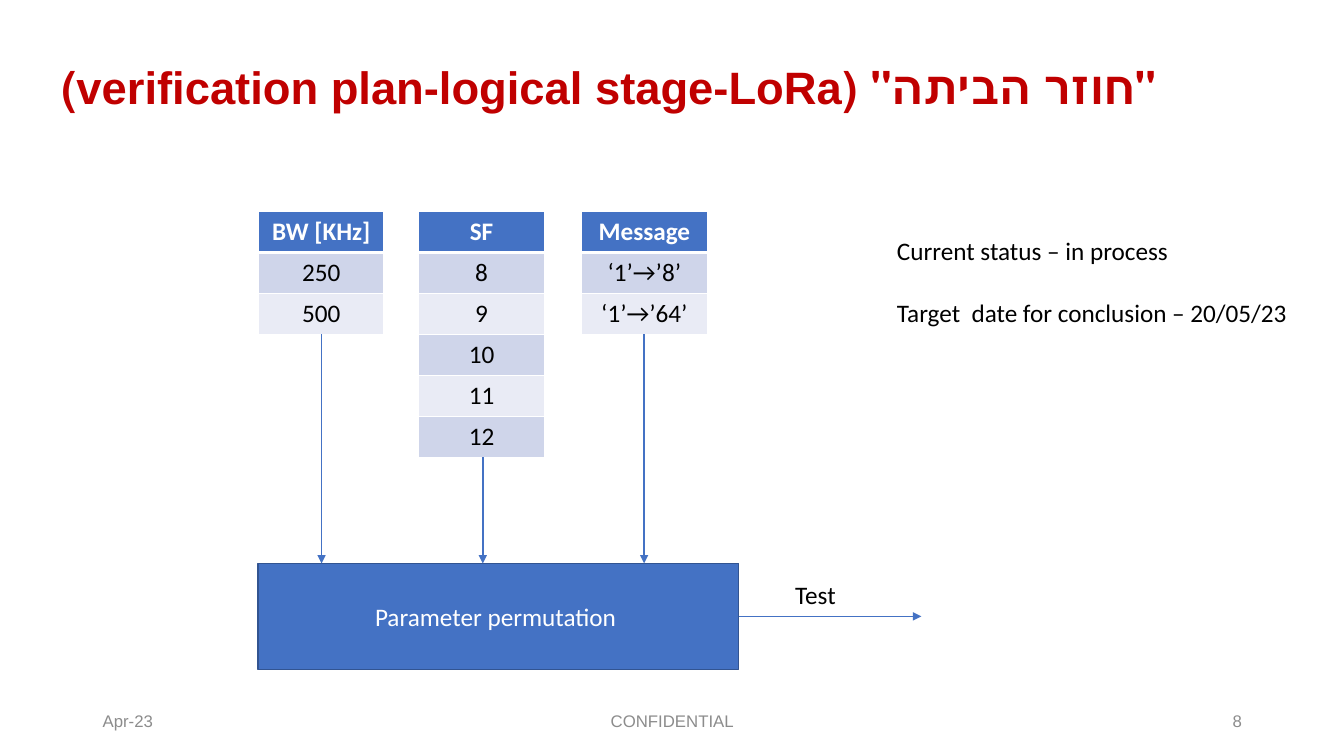
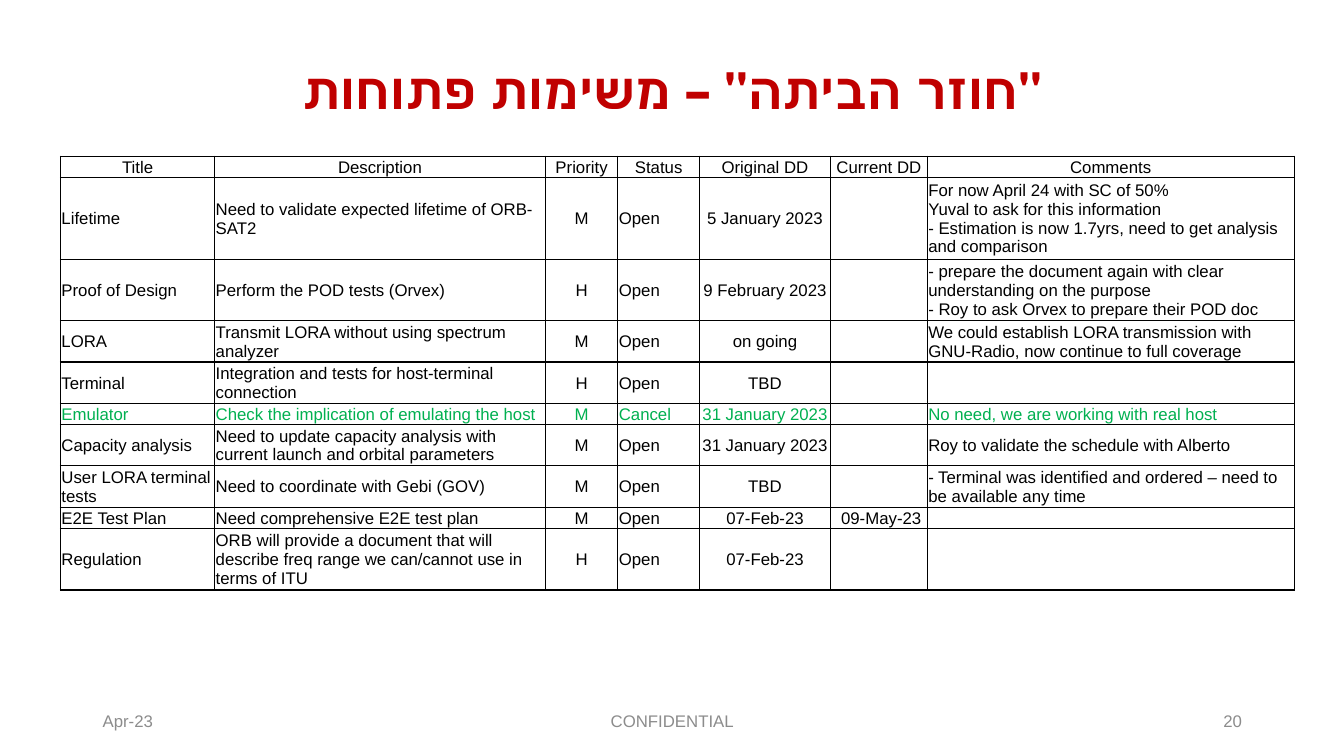
"""Build two verification status slides: a parameter flow and a table of open tasks."""
import dataclasses

import lxml.etree
import pptx
import pptx.dml.color
import pptx.enum.shapes
import pptx.enum.text
import pptx.oxml.ns
import pptx.util

ALIGN = pptx.enum.text.PP_ALIGN
MIDDLE = pptx.enum.text.MSO_ANCHOR.MIDDLE
TOP = pptx.enum.text.MSO_ANCHOR.TOP


@dataclasses.dataclass(frozen=True)
class Theme:
    """Hold the colours, fonts, type sizes and grid of the slides."""
    title_red: str = "C00000"
    accent: str = "4472C4"
    accent_edge: str = "325491"
    bands: tuple = ("CFD5EA", "E9EBF5")
    footer_grey: str = "8C8C8C"
    done_green: str = "00B050"
    black: str = "000000"
    white: str = "FFFFFF"
    heading_font: str = "Arial"
    body_font: str = "Calibri"
    title_size: float = 36
    body_size: float = 18
    small_size: float = 12
    columns: float = 133.33
    rows: float = 75
    cell: int = pptx.util.Inches(0.1)


THEME = Theme()


def rgb(colour):
    """Return a colour object for a hexadecimal string."""
    return pptx.dml.color.RGBColor.from_string(colour)


def write(frame, text, *, size=THEME.body_size, font=THEME.body_font, colour=THEME.black,
          bold=False, align=ALIGN.LEFT, anchor=TOP, spacing=None, right_to_left=False):
    """Fill a text frame, one paragraph per line, in the given format."""
    frame.word_wrap = True
    frame.vertical_anchor = anchor
    for index, line in enumerate(text.split("\n")):
        paragraph = frame.add_paragraph() if index else frame.paragraphs[0]
        paragraph.alignment = align
        if spacing:
            paragraph.line_spacing = spacing
        if right_to_left:
            paragraph._p.get_or_add_pPr().set("rtl", "1")
        if not line:
            ending = lxml.etree.SubElement(paragraph._p, pptx.oxml.ns.qn("a:endParaRPr"))
            ending.set("sz", str(round(size * 100)))
            continue
        run = paragraph.add_run()
        run.text = line
        run.font.size = pptx.util.Pt(size)
        run.font.name = font
        run.font.bold = bold
        run.font.color.rgb = rgb(colour)


def set_borders(cell, colour, **widths):
    """Draw the L, R, T and B borders of a table cell, one point wide unless given."""
    properties = cell._tc.get_or_add_tcPr()
    for index, side in enumerate("LRTB"):
        line = lxml.etree.Element(pptx.oxml.ns.qn(f"a:ln{side}"))
        line.set("w", str(pptx.util.Pt(widths.get(side, 1))))
        fill = lxml.etree.SubElement(line, pptx.oxml.ns.qn("a:solidFill"))
        lxml.etree.SubElement(fill, pptx.oxml.ns.qn("a:srgbClr")).set("val", colour)
        properties.insert(index, line)


class Deck:
    """Draw styled elements on the current slide, placed in grid columns and rows."""

    def __init__(self, theme):
        """Start an empty presentation of the size of the grid."""
        self.theme = theme
        self.presentation = pptx.Presentation()
        self.presentation.slide_width, self.presentation.slide_height = self.place(
            theme.columns, theme.rows)
        self.slide = None

    def place(self, *lengths):
        """Turn grid lengths into slide units."""
        return [round(length * self.theme.cell) for length in lengths]

    def add_slide(self, title, number, box, size):
        """Add a slide with its title and the shared footers."""
        theme = self.theme
        self.slide = self.presentation.slides.add_slide(self.presentation.slide_layouts[5])
        shape = self.slide.shapes.title
        shape.left, shape.top, shape.width, shape.height = self.place(*box)
        shape.text_frame.auto_size = pptx.enum.text.MSO_AUTO_SIZE.NONE
        write(shape.text_frame, title, size=size, font=theme.heading_font,
              colour=theme.title_red, bold=True, align=ALIGN.CENTER, anchor=MIDDLE,
              spacing=0.9, right_to_left=True)
        footers = (("Apr-23", 9.2, 30, ALIGN.LEFT),
                   (str(number), 94.2, 30, ALIGN.RIGHT),
                   ("CONFIDENTIAL", 44.2, 45, ALIGN.CENTER))
        for text, left, width, align in footers:
            self.add_text(text, left, 69.5, width, size=theme.small_size,
                          font=theme.heading_font, colour=theme.footer_grey,
                          align=align, anchor=MIDDLE)

    def add_text(self, text, left, top, width, **style):
        """Add a one-line text box."""
        shape = self.slide.shapes.add_textbox(*self.place(left, top, width, 4))
        write(shape.text_frame, text, **style)

    def add_box(self, text, left, top, width, height):
        """Add an accent rectangle with centred text."""
        shape = self.slide.shapes.add_shape(
            pptx.enum.shapes.MSO_SHAPE.RECTANGLE, *self.place(left, top, width, height))
        shape.shadow.inherit = False
        shape.fill.solid()
        shape.fill.fore_color.rgb = rgb(self.theme.accent)
        shape.line.color.rgb = rgb(self.theme.accent_edge)
        shape.line.width = pptx.util.Pt(1)
        write(shape.text_frame, text, colour=self.theme.white, align=ALIGN.CENTER,
              anchor=MIDDLE)

    def add_arrow(self, *ends):
        """Add a straight arrow from one grid point to another."""
        connector = self.slide.shapes.add_connector(
            pptx.enum.shapes.MSO_CONNECTOR.STRAIGHT, *self.place(*ends))
        connector.line.color.rgb = rgb(self.theme.accent)
        connector.line.width = pptx.util.Pt(1.25)
        head = lxml.etree.SubElement(connector.line._get_or_add_ln(),
                                     pptx.oxml.ns.qn("a:tailEnd"))
        head.set("type", "triangle")
        lxml.etree.SubElement(connector._element.spPr, pptx.oxml.ns.qn("a:effectLst"))

    def add_grid(self, left, top, widths, heights):
        """Add a table with the given column widths and row heights."""
        frame = self.slide.shapes.add_table(
            len(heights), len(widths), *self.place(left, top, sum(widths), sum(heights)))
        table = frame.table
        for column, width in zip(table.columns, self.place(*widths)):
            column.width = width
        for row, height in zip(table.rows, self.place(*heights)):
            row.height = height
        return table

    def fill_cell(self, cell, text, fill, border, widths=None, **style):
        """Fill, border and write one table cell."""
        cell.fill.solid()
        cell.fill.fore_color.rgb = rgb(fill)
        set_borders(cell, border, **(widths or {}))
        write(cell.text_frame, text, **style)
        cell.vertical_anchor = style.get("anchor", TOP)

    def add_value_list(self, heading, values, left, top, width, row_height):
        """Add a one-column banded table under a heading."""
        theme = self.theme
        table = self.add_grid(left, top, [width], [row_height] * (len(values) + 1))
        self.fill_cell(table.cell(0, 0), heading, theme.accent, theme.white, {"B": 3},
                       colour=theme.white, bold=True, align=ALIGN.CENTER)
        for index, value in enumerate(values):
            self.fill_cell(table.cell(index + 1, 0), value, theme.bands[index % 2],
                           theme.white, {} if index else {"T": 3}, align=ALIGN.CENTER)

    def add_task_table(self, tasks, left, top, widths, heights, centred):
        """Add a ruled table whose cancelled tasks are green."""
        theme = self.theme
        table = self.add_grid(left, top, widths, heights)
        for row, task in enumerate(tasks):
            colour = theme.done_green if "Cancel" in task else theme.black
            for column, text in enumerate(task):
                cell = table.cell(row, column)
                cell.margin_left, cell.margin_right, cell.margin_top, cell.margin_bottom = (
                    self.place(0.1, 0.1, 0.1, 0))
                middle = row == 0 or column in centred
                self.fill_cell(cell, text, theme.white, theme.black,
                               size=theme.small_size, font=theme.heading_font, colour=colour,
                               align=ALIGN.CENTER if middle else ALIGN.LEFT, anchor=MIDDLE)


PARAMETERS = (
    ("BW [KHz]", 25.65, ("250", "500")),
    ("SF", 41.55, ("8", "9", "10", "11", "12")),
    ("Message", 57.7, ("‘1’→’8’", "‘1’→’64’")),
)

TASKS = (
    ("Title", "Description", "Priority", "Status", "Original DD", "Current DD", "Comments"),
    ("Lifetime", "Need to validate expected lifetime of ORB-SAT2", "M", "Open",
     "5 January 2023", "",
     "For now April 24 with SC of 50%\nYuval to ask for this information\n"
     "- Estimation is now 1.7yrs, need to get analysis and comparison"),
    ("Proof of Design", "Perform the POD tests (Orvex)", "H", "Open", "9 February 2023", "",
     "- prepare the document again with clear understanding on the purpose\n"
     "- Roy to ask Orvex to prepare their POD doc"),
    ("LORA", "Transmit LORA without using spectrum analyzer", "M", "Open", "on going", "",
     "We could establish LORA transmission with GNU-Radio, now continue to full coverage"),
    ("Terminal", "Integration and tests for host-terminal connection", "H", "Open", "TBD",
     "", ""),
    ("Emulator", "Check the implication of emulating the host", "M", "Cancel",
     "31 January 2023", "", "No need, we are working with real host"),
    ("Capacity analysis",
     "Need to update capacity analysis with current launch and orbital parameters", "M",
     "Open", "31 January 2023", "", "Roy to validate the schedule with Alberto"),
    ("User LORA terminal tests", "Need to coordinate with Gebi (GOV)", "M", "Open", "TBD",
     "", "- Terminal was identified and ordered – need to be available any time"),
    ("E2E Test Plan", "Need comprehensive E2E test plan", "M", "Open", "07-Feb-23",
     " 09-May-23", ""),
    ("Regulation",
     "ORB will provide a document that will describe freq range we can/cannot use in "
     "terms of ITU", "H", "Open", "07-Feb-23", "", ""),
)


def build_parameter_slide(deck):
    """Draw the parameter lists that feed the permutation box."""
    deck.add_slide("\"חוזר הביתה\" (verification plan-logical stage-LoRa)", 8,
                   (2.9, 3.7, 115, 10.5), deck.theme.title_size * 0.9)
    top, width, row_height = 21, 12.45, 4.06
    first_arrow, pitch = 31.9, 16
    box_left, box_top, box_width, box_height = 25.6, 55.9, 47.7, 10.5
    deck.add_box("Parameter permutation ", box_left, box_top, box_width, box_height)
    for index, (heading, left, values) in enumerate(PARAMETERS):
        deck.add_value_list(heading, values, left, top, width, row_height)
        centre = first_arrow + index * pitch
        deck.add_arrow(centre, top + row_height * (len(values) + 1), centre, box_top)
    box_right, box_middle = box_left + box_width, box_top + box_height / 2
    deck.add_arrow(box_right, box_middle, box_right + 18.1, box_middle)
    deck.add_text("Test", 77.9, 57, 8)
    deck.add_text("Current status – in process", 88, 22.85, 45)
    deck.add_text("Target  date for conclusion – 20/05/23", 88, 29, 45)


def build_task_slide(deck):
    """Draw the table of open tasks."""
    deck.add_slide("\"חוזר הביתה\" – משימות פתוחות", 20, (9.2, 4, 115, 10.5),
                   deck.theme.title_size)
    line_height, line_counts = 1.9, (1, 4, 3, 2, 2, 1, 2, 2, 1, 3)
    deck.add_task_table(TASKS, 6, 15.5, (15.3, 32.8, 7.2, 8.1, 13, 9.6, 36.4),
                        [line_height * count for count in line_counts],
                        centred=(2, 4, 5))


def main():
    """Build and save the presentation."""
    deck = Deck(THEME)
    build_parameter_slide(deck)
    build_task_slide(deck)
    deck.presentation.save("out.pptx")


if __name__ == "__main__":
    main()
